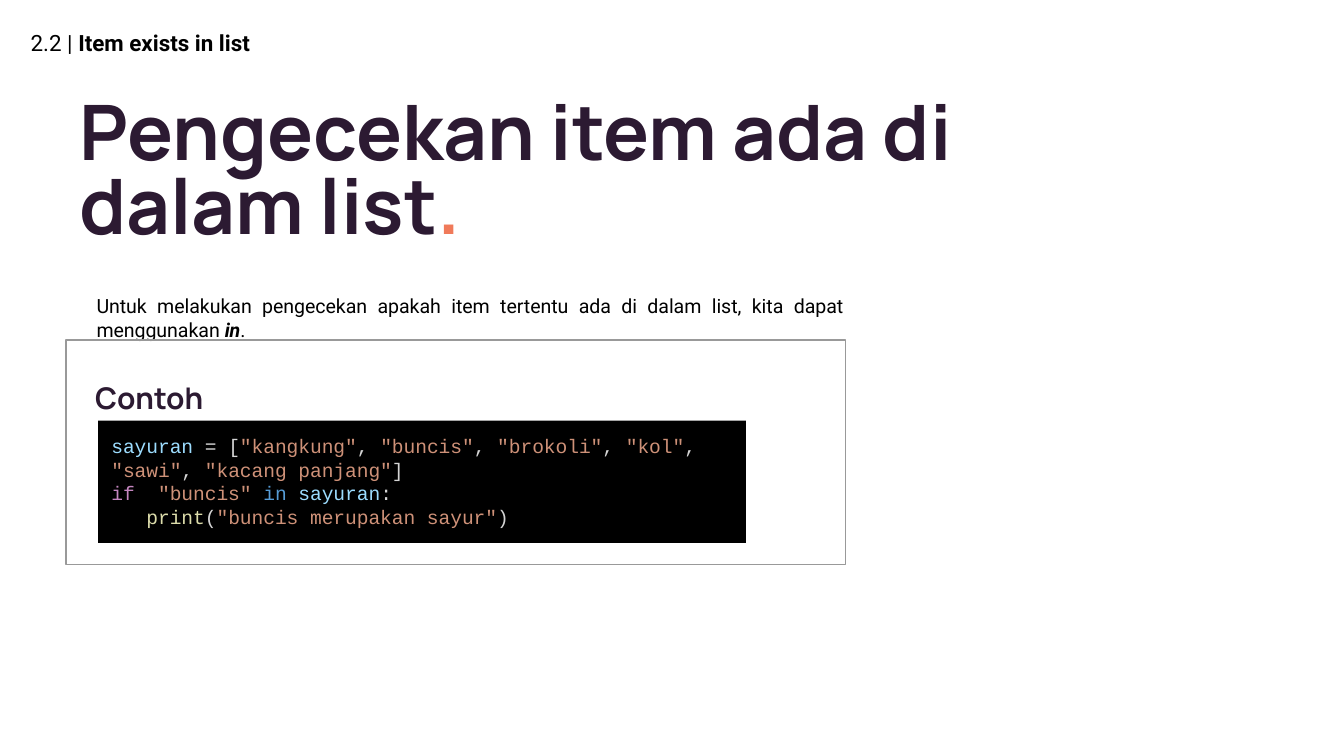
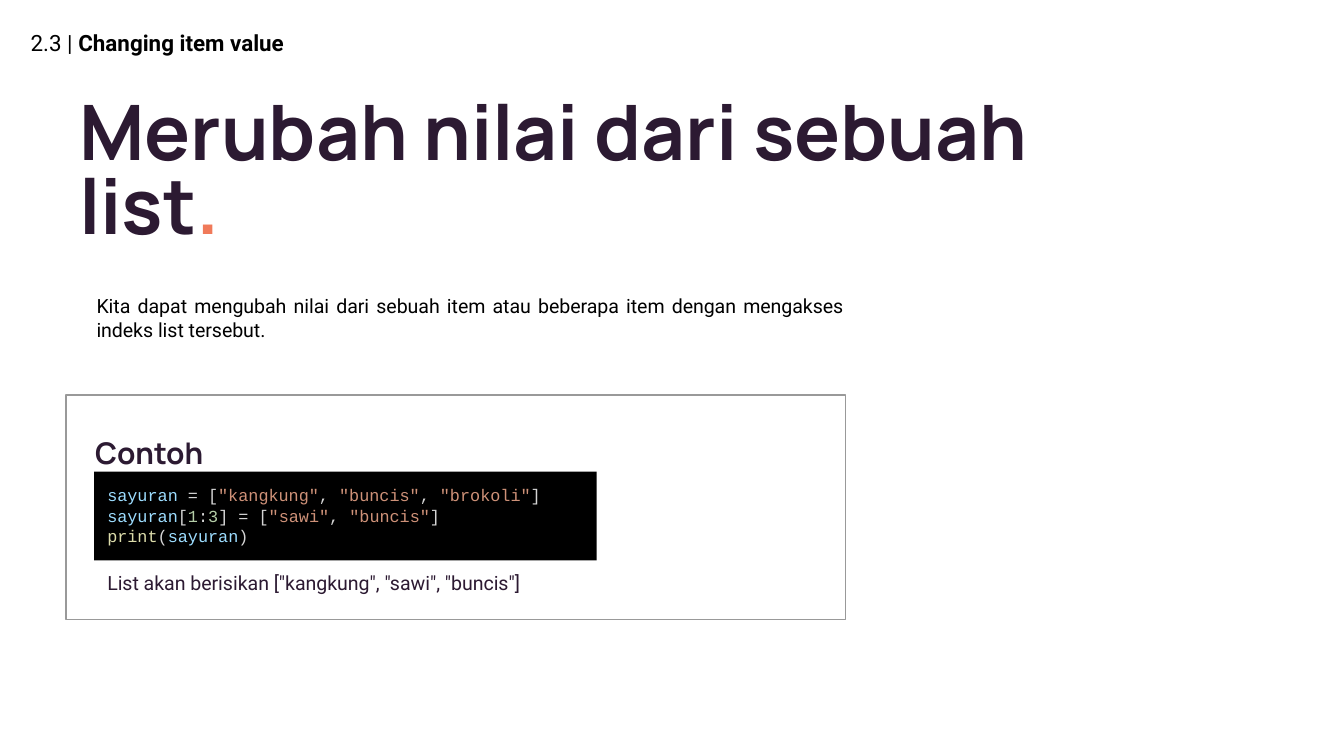
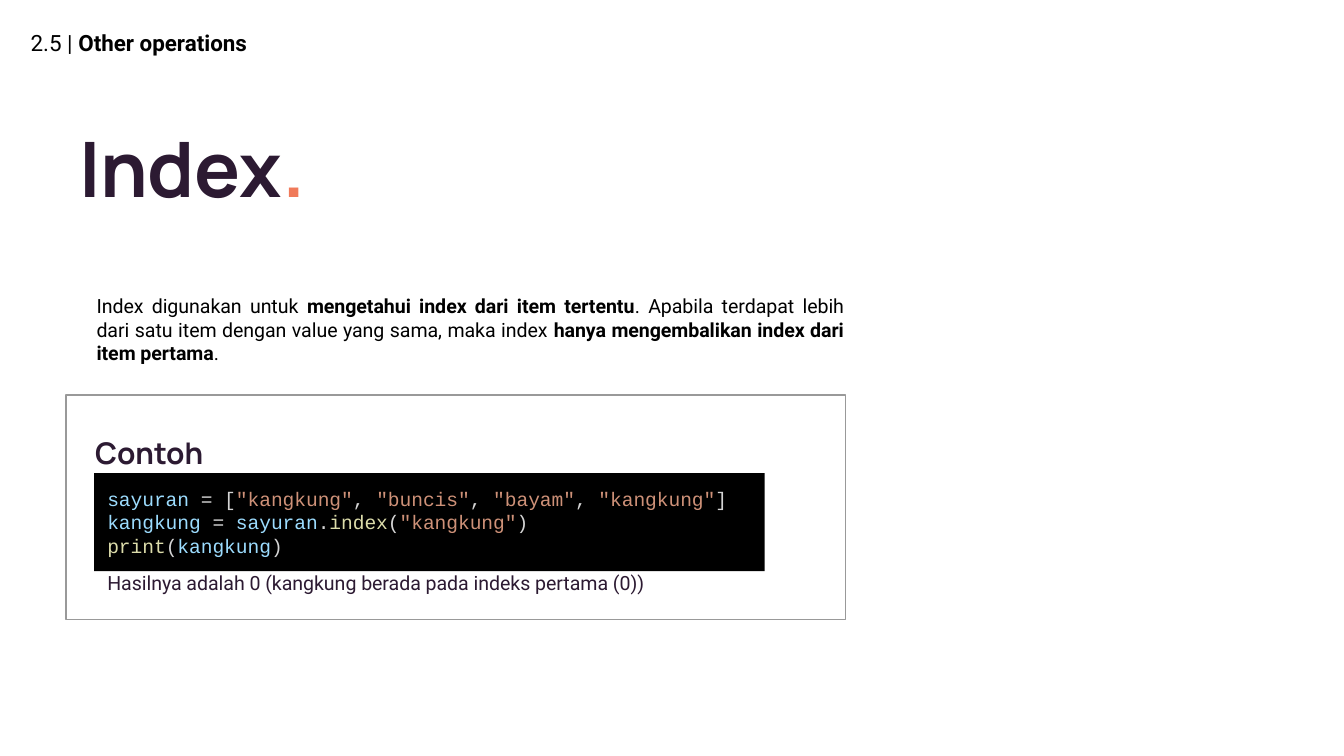
from itertools import groupby

from pptx import Presentation
from pptx.dml.color import RGBColor
from pptx.enum.shapes import MSO_SHAPE
from pptx.enum.text import MSO_ANCHOR, MSO_AUTO_SIZE, PP_ALIGN
from pptx.util import Inches, Pt

WHITE = RGBColor(0xFF, 0xFF, 0xFF)
BLACK = RGBColor(0x00, 0x00, 0x00)
PLUM = RGBColor(0x2C, 0x1A, 0x32)
CORAL = RGBColor(0xF0, 0x7A, 0x5A)
FRAME_GREY = RGBColor(0x99, 0x99, 0x99)

VARIABLE = RGBColor(0x9C, 0xDC, 0xFE)
SYMBOL = RGBColor(0xD4, 0xD4, 0xD4)
STRING = RGBColor(0xCE, 0x91, 0x78)
NUMBER = RGBColor(0xB5, 0xCE, 0xA8)
FUNCTION = RGBColor(0xDC, 0xDC, 0xAA)
CONTROL = RGBColor(0xC5, 0x86, 0xC0)
OPERATOR = RGBColor(0x56, 0x9C, 0xD6)
WORD_COLOURS = {"if": CONTROL, "in": OPERATOR, "print": FUNCTION, "index": FUNCTION}

HEADER = {"name": "Roboto", "size": Pt(12), "color": BLACK}
TITLE = {"name": "Manrope", "size": Pt(41), "bold": True, "color": PLUM}
BODY = {"name": "Roboto", "size": Pt(10.5), "color": BLACK}
RESULT = {**BODY, "color": PLUM}
SUBTITLE = {**TITLE, "size": Pt(16)}
BOLD = {"bold": True}
BOLD_ITALIC = {"bold": True, "italic": True}
TIGHT = {"line_spacing": 0.8}
JUSTIFIED = {"alignment": PP_ALIGN.JUSTIFY}
MIDDLE = {"vertical_anchor": MSO_ANCHOR.MIDDLE}
GROWING = {"vertical_anchor": MSO_ANCHOR.TOP, "auto_size": MSO_AUTO_SIZE.SHAPE_TO_FIT_TEXT}


def set_all(target, values):
    for name, value in values.items():
        if name == "color":
            target.color.rgb = value
        else:
            setattr(target, name, value)


def write(box, lines, style, para_format, frame_format):
    frame = box.text_frame
    set_all(frame, {"word_wrap": True, **frame_format})
    for side in ("left", "top", "right", "bottom"):
        setattr(frame, f"margin_{side}", Inches(0.1))
    for number, spans in enumerate(lines):
        para = frame.add_paragraph() if number else frame.paragraphs[0]
        set_all(para, para_format)
        for text, changes in spans:
            span = para.add_run()
            span.text = text
            set_all(span.font, {**style, **changes})


def add_text(page, place, spans, style, para_format, frame_format):
    box = page.shapes.add_textbox(*map(Inches, place))
    write(box, [spans], style, para_format, frame_format)


def add_rectangle(page, place):
    box = page.shapes.add_shape(MSO_SHAPE.RECTANGLE, *map(Inches, place))
    box.shadow.inherit = False
    return box


def add_frame(page, top):
    box = add_rectangle(page, (0.49, top, 5.8, 1.67))
    box.fill.background()
    box.line.color.rgb = FRAME_GREY
    box.line.width = Pt(0.75)


def colour_code(line):
    spans = []
    for number, part in enumerate(line.split('"')):
        if number % 2:
            spans.append((f'"{part}"', {"color": STRING}))
            continue
        for is_word, letters in groupby(part, str.isalnum):
            text = "".join(letters)
            colour = SYMBOL
            if is_word:
                colour = NUMBER if text.isdigit() else WORD_COLOURS.get(text, VARIABLE)
            spans.append((text, {"color": colour}))
    return spans


def add_code(page, place, size, lines):
    box = add_rectangle(page, place)
    box.fill.solid()
    box.fill.fore_color.rgb = BLACK
    box.line.fill.background()
    style = {"name": "Courier New", "size": Pt(size)}
    write(box, [colour_code(line) for line in lines], style,
          {"alignment": PP_ALIGN.LEFT}, GROWING)


def add_lesson(deck, number, topic, title, body, body_height, frame_top,
               code_place, code_size, code, result=None):
    page = deck.slides.add_slide(deck.slide_layouts[6])
    page.background.fill.solid()
    page.background.fill.fore_color.rgb = WHITE
    add_text(page, (0.13, 0.07, 4.56, 0.5),
             [(f"{number} |", {}), (f" {topic}", BOLD)], HEADER, {}, MIDDLE)
    add_text(page, (0.49, 0.52, 7.6, 1.57),
             [(title, {}), (".", {"color": CORAL})], TITLE, TIGHT, MIDDLE)
    add_text(page, (0.62, 2.09, 5.76, body_height), body, BODY, JUSTIFIED, GROWING)
    add_frame(page, frame_top)
    add_text(page, (0.61, frame_top + 0.18, 4.56, 0.54),
             [("Contoh", {})], SUBTITLE, TIGHT, MIDDLE)
    if result:
        add_text(page, (0.7, 4.16, 4.99, 0.38), [(result, {})], RESULT, {}, GROWING)
    add_code(page, code_place, code_size, code)


def main():
    deck = Presentation()
    deck.slide_width = Inches(10)
    deck.slide_height = deck.slide_width * 9 // 16

    add_lesson(
        deck, "2.2", "Item exists in list", "Pengecekan item ada di dalam list",
        [("Untuk melakukan pengecekan apakah item tertentu ada di dalam list, "
          "kita dapat menggunakan ", {}), ("in", BOLD_ITALIC), (".", {})],
        0.56, 2.53, (0.73, 3.13, 4.82, 0.91), 10.5,
        ['sayuran = ["kangkung", "buncis", "brokoli", "kol", "sawi", "kacang panjang"]',
         'if  "buncis" in sayuran:',
         '   print("buncis merupakan sayur")'])

    add_lesson(
        deck, "2.3", "Changing item value", "Merubah nilai dari sebuah list",
        [("Kita dapat mengubah nilai dari sebuah item atau beberapa item "
          "dengan mengakses indeks list tersebut.", {})],
        0.56, 2.94, (0.7, 3.51, 3.74, 0.66), 9,
        ['sayuran = ["kangkung", "buncis", "brokoli"]',
         'sayuran[1:3] = ["sawi", "buncis"]',
         'print(sayuran)'],
        'List akan berisikan ["kangkung", "sawi", "buncis"]')

    add_lesson(
        deck, "2.5", "Other operations", "Index",
        [("Index digunakan untuk ", {}),
         ("mengetahui index dari item tertentu", BOLD),
         (". Apabila terdapat lebih dari satu item dengan value yang sama, maka index ", {}),
         ("hanya mengembalikan index dari item pertama", BOLD), (".", {})],
        0.73, 2.94, (0.7, 3.52, 4.99, 0.73), 10.5,
        ['sayuran = ["kangkung", "buncis", "bayam", "kangkung"]',
         'kangkung = sayuran.index("kangkung")',
         'print(kangkung)'],
        "Hasilnya adalah 0 (kangkung berada pada indeks pertama (0))")

    deck.save("out.pptx")


if __name__ == "__main__":
    main()
